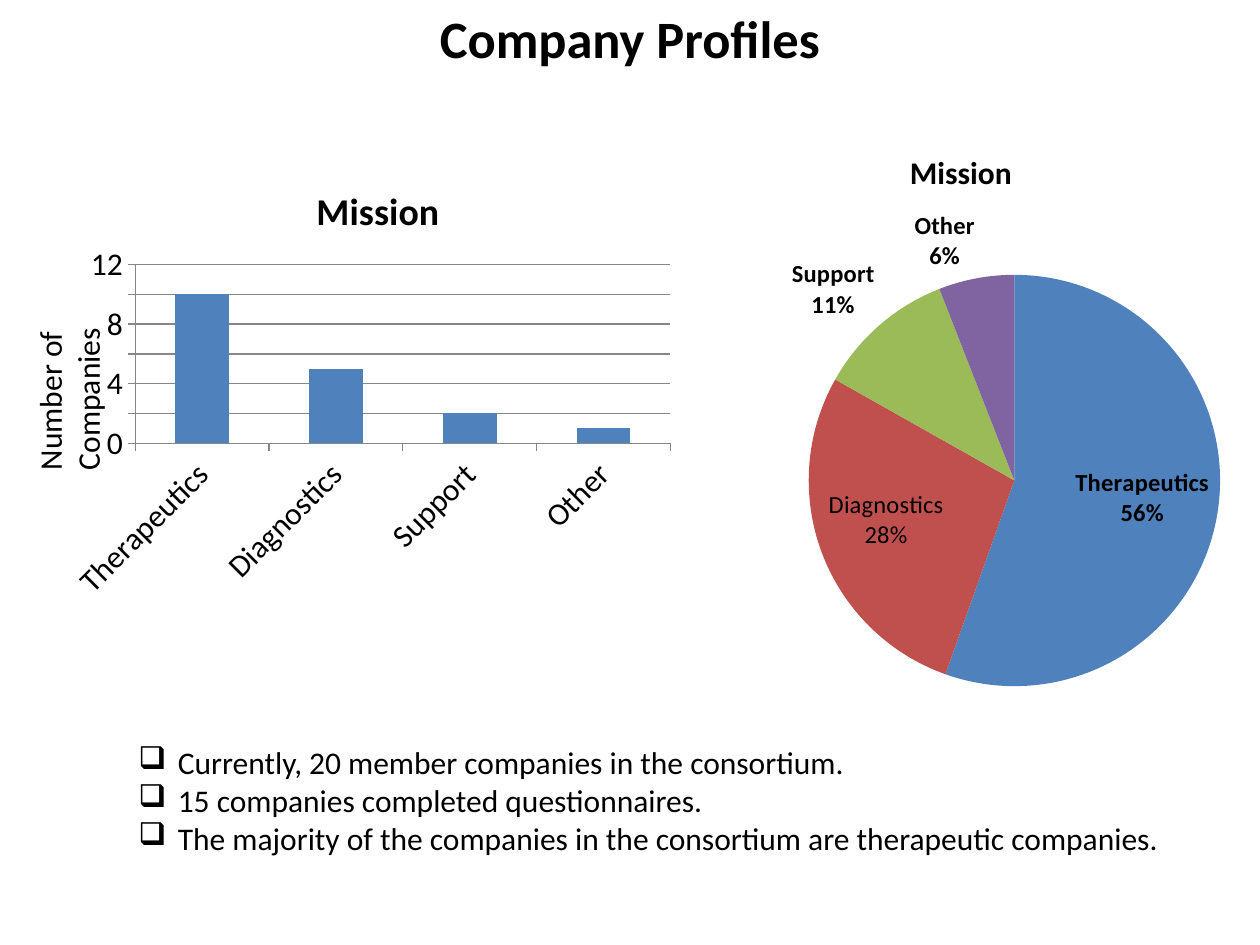
import pptx
import pptx.util
import pptx.dml.color
import pptx.chart.data
import pptx.enum.chart
import pptx.enum.text
import pptx.oxml
import pptx.oxml.ns

Pt = pptx.util.Pt
XL = pptx.enum.chart
NS = pptx.oxml.ns.nsdecls


def rgb(value):
    return pptx.dml.color.RGBColor.from_string(value)


def place(parent, x, y, w=None, h=None):
    old = parent.find(pptx.oxml.ns.qn("c:layout"))
    if old is not None:
        parent.remove(old)
    target = '<c:layoutTarget val="inner"/>' if w else ""
    size = f'<c:w val="{w}"/><c:h val="{h}"/>' if w else ""
    layout = pptx.oxml.parse_xml(
        f'<c:layout {NS("c")}><c:manualLayout>{target}'
        '<c:xMode val="edge"/><c:yMode val="edge"/>'
        f'<c:x val="{x}"/><c:y val="{y}"/>{size}</c:manualLayout></c:layout>')
    parent.insert(1 if parent.tag.endswith("}title") else 0, layout)


prs = pptx.Presentation()
prs.slide_width, prs.slide_height = Pt(720), Pt(540)
s = prs.slides.add_slide(prs.slide_layouts[6])

names = ["Therapeutics", "Diagnostics", "Support", "Other"]
specs = [
    (XL.XL_CHART_TYPE.COLUMN_CLUSTERED, "Mission", [10, 5, 2, 1], "General",
     (34.6, 85.7, 355.7, 262), 18, 21.6, (0.4, 0.06), (0.12, 0.25, 0.86, 0.39)),
    (XL.XL_CHART_TYPE.PIE, "Series 1", [56, 28, 11, 6], '0"%"',
     (336.2, 66.2, 419.8, 336.2), 10, 18, (0.43, 0.05), (0.3, 0.27, 0.56, 0.7)),
]
charts = []
for kind, name, values, fmt, box, size, title_size, title_at, plot_at in specs:
    data = pptx.chart.data.CategoryChartData(number_format=fmt)
    data.categories = names
    data.add_series(name, values)
    chart = s.shapes.add_chart(kind, *[Pt(v) for v in box], data).chart
    chart.font.name = "Calibri"
    chart.font.size = Pt(size)
    chart.font.color.rgb = rgb("000000")
    chart.has_legend = False
    chart.has_title = True
    r = chart.chart_title.text_frame.paragraphs[0].add_run()
    r.text = "Mission"
    r.font.name = "Calibri"
    r.font.size = Pt(title_size)
    r.font.bold = True
    r.font.color.rgb = rgb("000000")
    chart.chart_title.include_in_layout = False
    place(chart.chart_title._element, *title_at)
    place(chart._chartSpace.chart.plotArea, *plot_at)
    chart.plots[0].vary_by_categories = kind == XL.XL_CHART_TYPE.PIE
    charts.append(chart)
column, pie = charts

column.plots[0].gap_width = 150
fill = column.plots[0].series[0].format.fill
fill.solid()
fill.fore_color.rgb = rgb("4F81BD")
val, cat = column.value_axis, column.category_axis
val.minimum_scale, val.maximum_scale, val.major_unit = 0, 12, 2
val.has_major_gridlines = True
for line in (val.format.line, cat.format.line, val.major_gridlines.format.line):
    line.color.rgb = rgb("868686")
    line.width = Pt(0.75)
for axis in (val, cat):
    axis.major_tick_mark = XL.XL_TICK_MARK.OUTSIDE
    axis.tick_labels.font.size = Pt(18)
cat._element.txPr.bodyPr.set("rot", "-2700000")

series = pie.plots[0].series[0]
for i, color in enumerate(["4F81BD", "C0504D", "9BBB59", "8064A2"]):
    fill = series.points[i].format.fill
    fill.solid()
    fill.fore_color.rgb = rgb(color)
labels = series.data_labels
labels.show_value = True
labels.show_category_name = True
labels.show_percentage = False
labels.position = XL.XL_LABEL_POSITION.BEST_FIT
diagnostics = series.points[1].data_label
diagnostics.position = XL.XL_LABEL_POSITION.INSIDE_END
for label, bold in ((labels, True), (diagnostics, False)):
    label.font.name = "Calibri"
    label.font.size = Pt(14)
    label.font.bold = bold
    label.font.color.rgb = rgb("000000")
for show in series._element.xpath(".//c:dLbl/c:showCatName"):
    show.set("val", "1")
for show in series._element.xpath(".//c:showBubbleSize"):
    show.addnext(pptx.oxml.parse_xml(f'<c:separator {NS("c")}>\n</c:separator>'))

facts = [
    "Currently, 20 member companies in the consortium.",
    "15 companies completed questionnaires.",
    "The majority of the companies in the consortium are therapeutic companies.",
]
texts = [
    (["Number of Companies"], (-5.6, 201.6, 90, 44), 18, "axis"),
    (facts, (72, 421.2, 617.8, 94.3), 18, "bullets"),
    (["Company Profiles"], (0, 0, 720, 43.9), 30, "title"),
]
for lines, box, size, role in texts:
    sp = s.shapes.add_textbox(*[Pt(v) for v in box])
    tf = sp.text_frame
    tf.word_wrap = True
    if role == "axis":
        sp.rotation = 270
        tf.margin_left = tf.margin_right = tf.margin_top = tf.margin_bottom = 0
    for i, text in enumerate(lines):
        p = tf.paragraphs[0] if i == 0 else tf.add_paragraph()
        if role == "title":
            p.alignment = pptx.enum.text.PP_ALIGN.CENTER
        if role == "bullets":
            pPr = p._p.get_or_add_pPr()
            pPr.set("marL", str(Pt(22.5)))
            pPr.set("indent", str(-Pt(22.5)))
            pPr.append(pptx.oxml.parse_xml(f'<a:buChar {NS("a")} char="❑"/>'))
        r = p.add_run()
        r.text = text
        r.font.name = "Calibri"
        r.font.size = Pt(size)
        r.font.bold = role == "title"
        r.font.color.rgb = rgb("000000")

prs.save("out.pptx")
